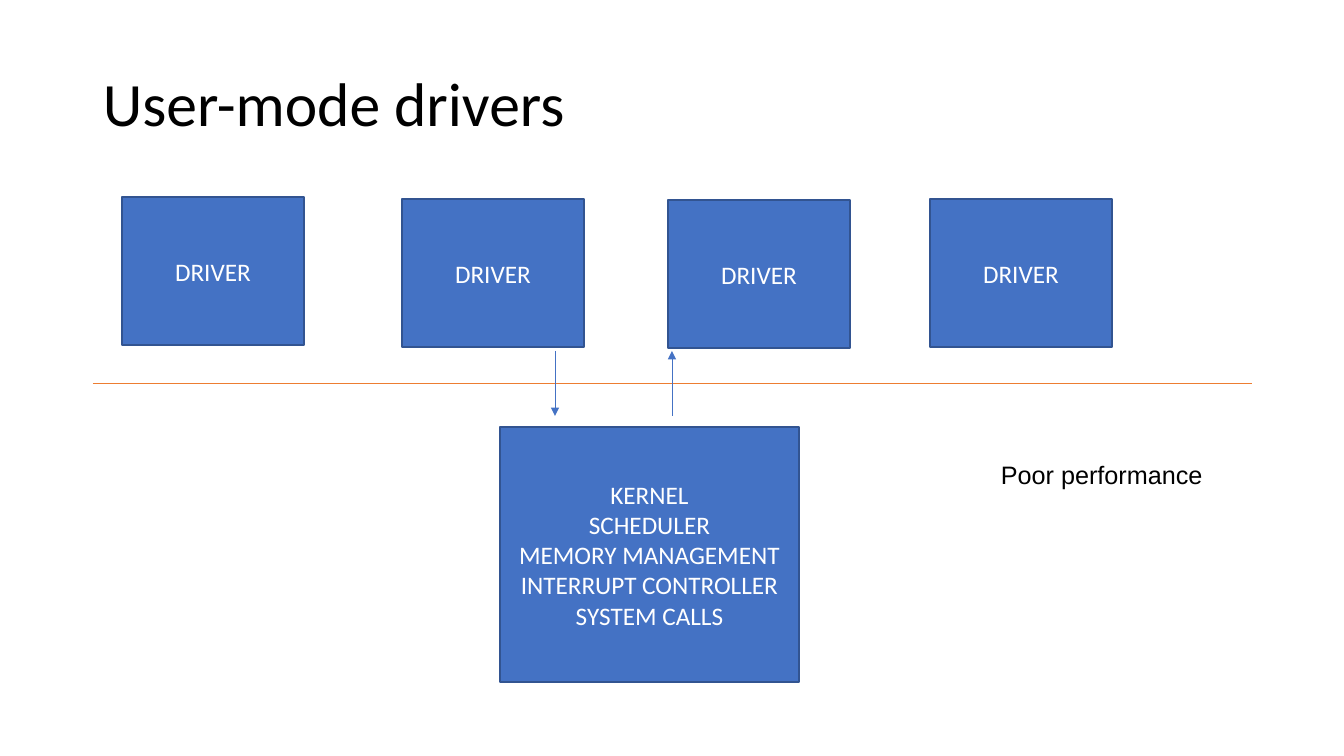
from lxml.etree import SubElement
from pptx import Presentation
from pptx.dml.color import RGBColor
from pptx.enum.shapes import MSO_CONNECTOR as CONN, MSO_SHAPE as SHAPE
from pptx.enum.text import MSO_ANCHOR as ANCHOR, MSO_AUTO_SIZE as FIT, PP_ALIGN as ALIGN
from pptx.oxml.ns import qn
from pptx.util import Pt

PX = 914400 / 100.8
BLUE = RGBColor(0x44, 0x72, 0xC4)
NAVY = RGBColor(0x32, 0x54, 0x91)
ORANGE = RGBColor(0xED, 0x7D, 0x31)
BLACK = RGBColor(0, 0, 0)
WHITE = RGBColor(0xFF, 0xFF, 0xFF)

TITLE = {"name": "Calibri", "size": Pt(44)}
BODY = {"name": "Calibri", "size": Pt(18)}
NOTE = {"name": "Arial", "size": Pt(18)}
DRIVERS = [(122, 198), (402, 200), (668, 201), (930, 200)]
KERNEL = ["KERNEL", "SCHEDULER\vMEMORY MANAGEMENT", "INTERRUPT CONTROLLER", "SYSTEM CALLS"]


def px(*lengths):
    return [round(n * PX) for n in lengths]


def write(tf, lines, font, color, **para):
    tf.word_wrap = True
    for i, line in enumerate(lines):
        p = tf.add_paragraph() if i else tf.paragraphs[0]
        p.text = line
        for key, value in para.items():
            setattr(p, key, value)
        for r in p.runs:
            for key, value in font.items():
                setattr(r.font, key, value)
            r.font.color.rgb = color


def add_label(s, box, text, font, anchor, **para):
    tf = s.shapes.add_textbox(*px(*box)).text_frame
    write(tf, [text], font, BLACK, **para)
    tf.vertical_anchor = anchor
    return tf


def add_block(s, box, lines):
    sp = s.shapes.add_shape(SHAPE.RECTANGLE, *px(*box))
    sp.shadow.inherit = False
    sp.fill.solid()
    sp.fill.fore_color.rgb = BLUE
    sp.line.color.rgb = NAVY
    sp.line.width = Pt(1)
    sp.text_frame.vertical_anchor = ANCHOR.MIDDLE
    write(sp.text_frame, lines, BODY, WHITE, alignment=ALIGN.CENTER)


def add_line(s, ends, color, arrow=False):
    cx = s.shapes.add_connector(CONN.STRAIGHT, *px(*ends))
    cx.line.color.rgb = color
    cx.line.width = Pt(0.5)
    if arrow:
        SubElement(cx.line._get_or_add_ln(), qn("a:tailEnd"), type="triangle")
    SubElement(cx._element.spPr, qn("a:effectLst"))


def add_boundary(s, left, top, width, height):
    middle = top + height // 2
    add_line(s, (left, middle, left + width, middle), ORANGE)
    up, down = left + 579, left + 462
    add_line(s, (up, top + height, up, top), BLUE, arrow=True)
    add_line(s, (down, top, down, top + height), BLUE, arrow=True)


def main():
    prs = Presentation()
    prs.slide_width, prs.slide_height = px(1344, 756)
    s = prs.slides.add_slide(prs.slide_layouts[6])
    add_label(s, (93, 34, 1159, 146), "User-mode drivers", TITLE, ANCHOR.MIDDLE, line_spacing=0.9)
    add_block(s, (500, 427, 299, 255), KERNEL)
    for left, top in DRIVERS:
        add_block(s, (left, top - 1, 182, 148), ["DRIVER"])
    add_boundary(s, 93, 351, 1159, 65)
    note = add_label(s, (991, 454, 249, 40), "Poor performance", NOTE, ANCHOR.TOP)
    note.auto_size = FIT.SHAPE_TO_FIT_TEXT
    prs.save("out.pptx")


if __name__ == "__main__":
    main()
